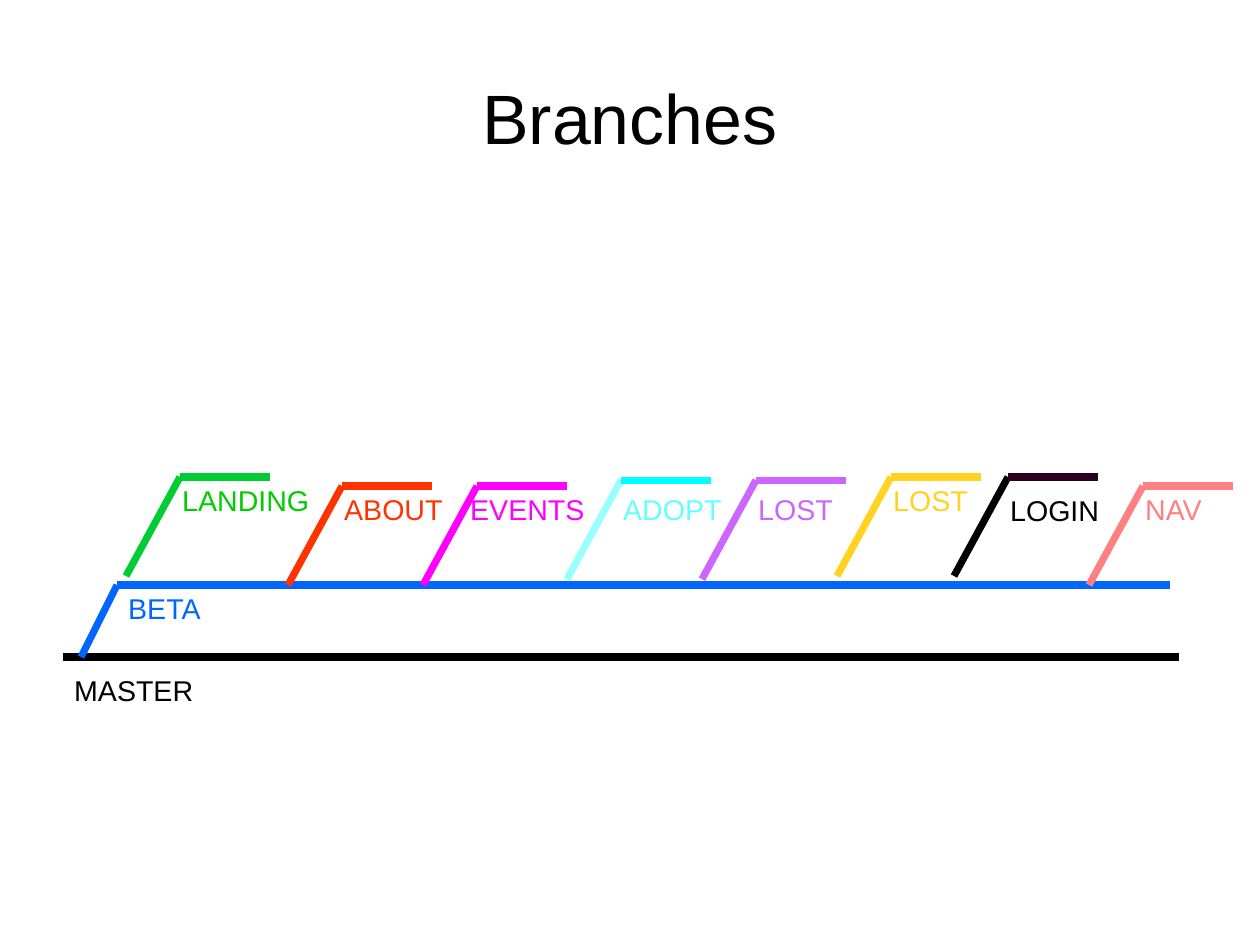
from pptx import Presentation, util as u
from pptx.dml.color import RGBColor
from pptx.enum import shapes, text
from lxml import etree

HUES = {
    "black": "000000", "plum": "2C001E", "blue": "0066FF",
    "green": "00CC33", "leaf": "00CC00", "red": "FF3300",
    "pink": "FF00FF", "cyan": "00FFFF", "ice": "99FFFF",
    "aqua": "66FFFF", "violet": "CC66FF", "gold": "FFD320",
    "coral": "FF8080",
}
COLS, ROWS = 140, 105
NS = "http://schemas.openxmlformats.org/drawingml/2006/main"


class Board:
    """Draws styled elements on one slide, placed by grid columns and rows."""

    def __init__(self, deck):
        self.slide = deck.slides.add_slide(deck.slide_layouts[6])
        self.col = deck.slide_width / COLS
        self.row = deck.slide_height / ROWS
        self.font, self.weight = "Arial", u.Pt(4.51)

    def spot(self, x, y):
        return round(x * self.col), round(y * self.row)

    def hue(self, name):
        return RGBColor.from_string(HUES[name])

    def line(self, start, end, hue):
        line = self.slide.shapes.add_connector(
            shapes.MSO_CONNECTOR.STRAIGHT, *self.spot(*start), *self.spot(*end))
        line.line.width = self.weight
        line.line.color.rgb = self.hue(hue)
        etree.SubElement(line._element.spPr, f"{{{NS}}}effectLst")

    def label(self, words, x, y, hue, wide=19, high=4.8, size=18, **form):
        box = self.slide.shapes.add_textbox(
            *self.spot(x, y), *self.spot(wide, high))
        frame = box.text_frame
        for key, value in {"word_wrap": True, **form}.items():
            setattr(frame, key, value)
        para = frame.paragraphs[0]
        run = para.add_run()
        run.text = words
        for key, value in {"name": self.font, "size": u.Pt(size)}.items():
            setattr(run.font, key, value)
        run.font.color.rgb = self.hue(hue)
        return para

    def title(self, words):
        pads = dict.fromkeys(
            ("margin_left", "margin_right", "margin_top", "margin_bottom"), 0)
        para = self.label(words, 7, 4.2, "black", 126, 17.5, 44,
                          vertical_anchor=text.MSO_ANCHOR.MIDDLE, **pads)
        para.alignment = text.PP_ALIGN.CENTER

    def branch(self, foot, knee, tip, stem, bar):
        self.line(foot, knee, stem)
        self.line(knee, (tip, knee[1]), bar)


deck = Presentation()
deck.slide_width, deck.slide_height = u.Cm(28), u.Cm(21)
board = Board(deck)
board.title("Branches")
board.line((7, 73), (131, 73), "black")
board.label("MASTER", 7, 74.15, "black", 24)
board.branch((9, 73), (13, 65), 130, "blue", "blue")
board.label("BETA", 13, 65, "blue", 24)

TWIGS = [
    ("LANDING", 20, 53, 19, 53, "green", "green", "leaf", 24),
    ("ABOUT", 38, 54, 37, 54, "red", "red", "red", 24),
    ("EVENTS", 53, 54, 51, 54, "pink", "pink", "pink", 19),
    ("ADOPT", 69, 53.35, 68, 54, "ice", "cyan", "aqua", 19),
    ("LOST", 84, 53.35, 83, 54, "violet", "violet", "violet", 19),
    ("LOST", 99, 53, 98, 53, "gold", "gold", "gold", 19),
    ("LOGIN", 112, 53, 111, 54.2, "black", "plum", "black", 19),
    ("NAV", 127, 54, 126, 54, "coral", "coral", "coral", 19),
]
for name, x, y, left, top, stem, bar, ink, wide in TWIGS:
    board.branch((x - 6, y + 11), (x, y), x + 10, stem, bar)
    board.label(name, left, top, ink, wide)

deck.save("out.pptx")
